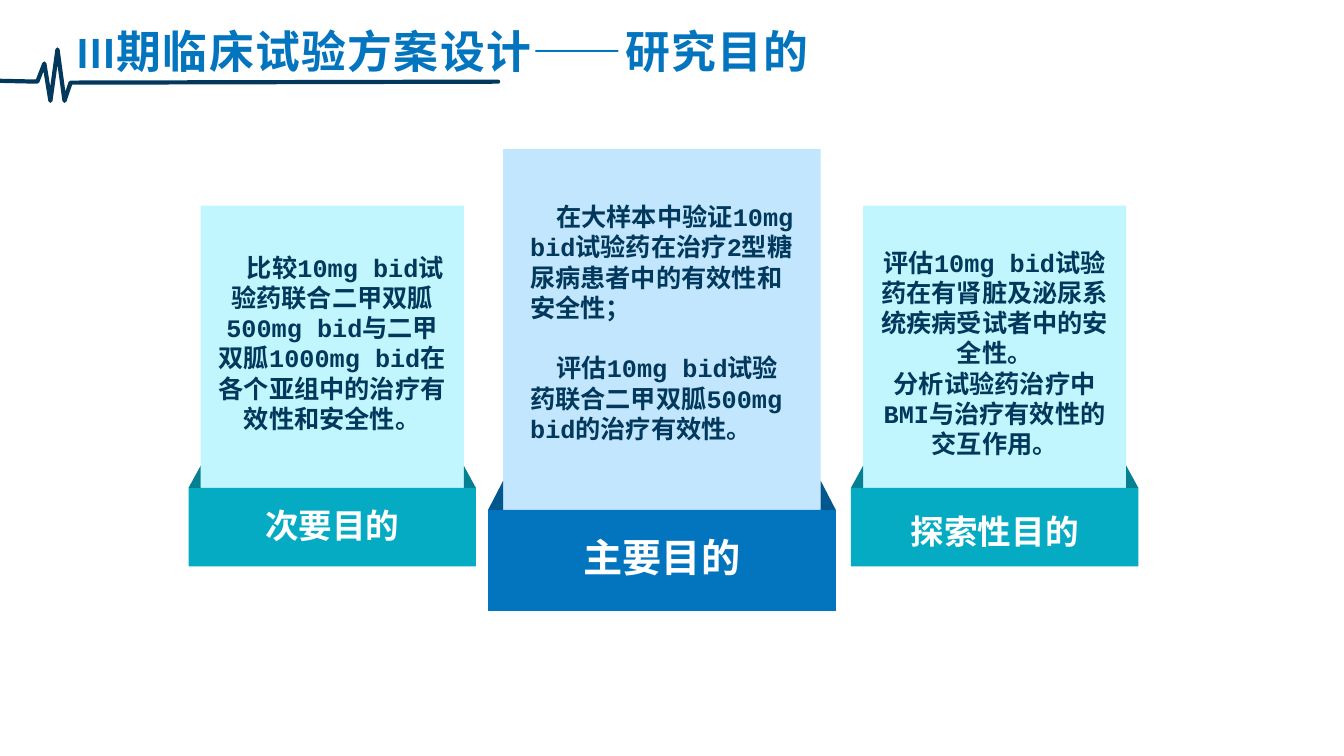
from lxml import etree
from pptx import Presentation
from pptx.dml.color import RGBColor
from pptx.enum.shapes import MSO_SHAPE
from pptx.enum.text import MSO_ANCHOR, PP_ALIGN
from pptx.oxml.ns import qn
from pptx.util import Inches, Pt

RECTANGLE, TRIANGLE = MSO_SHAPE.RECTANGLE, MSO_SHAPE.RIGHT_TRIANGLE
LEFT, CENTER = PP_ALIGN.LEFT, PP_ALIGN.CENTER
TOP = MSO_ANCHOR.TOP

COLORS = {
    "navy": "01385B", "blue": "0375BE", "dark_blue": "02588E", "pale_blue": "C1E6FE",
    "teal": "04ABC2", "dark_teal": "038092", "pale_teal": "C2F6FE", "white": "FFFFFF",
}
SIDE_STYLE = {
    "panel": "pale_teal", "band": "teal", "fold": "dark_teal",
    "panel_height": 3.16, "band_height": 0.78, "fold_width": 0.12, "fold_height": 0.22,
    "body_width": 2.46, "label_size": 24, "label_height": 0.5,
}
MAIN_STYLE = {
    "panel": "pale_blue", "band": "blue", "fold": "dark_blue",
    "panel_height": 3.99, "band_height": 1.0, "fold_width": 0.15, "fold_height": 0.29,
    "body_width": 2.81, "label_size": 28, "label_height": 0.57,
}
SIDE_TOP, SIDE_WIDTH, SIDE_HEIGHT = 2.04, 2.85, 3.58
CARDS = [
    {"box": (1.87, SIDE_TOP, SIDE_WIDTH, SIDE_HEIGHT), "style": SIDE_STYLE,
     "label": "次要目的", "label_drop": 0.12,
     "body": ["比较10mg bid试验药联合二甲双胍500mg bid与二甲双胍1000mg bid"
              "在各个亚组中的治疗有效性和安全性。"],
     "body_drop": 0.41, "body_height": 1.92, "align": CENTER, "indent": 0.26, "gap": 0},
    {"box": (4.84, 1.48, 3.45, 4.58), "style": MAIN_STYLE,
     "label": "主要目的", "label_drop": 0.18,
     "body": ["在大样本中验证10mg bid试验药在治疗2型糖尿病患者中的有效性和安全性；",
              "评估10mg bid试验药联合二甲双胍500mg bid的治疗有效性。"],
     "body_drop": 0.47, "body_height": 2.52, "align": LEFT, "indent": 0.26, "gap": 21.6},
    {"box": (8.44, SIDE_TOP, SIDE_WIDTH, SIDE_HEIGHT), "style": SIDE_STYLE,
     "label": "探索性目的", "label_drop": 0.18,
     "body": ["评估10mg bid试验药在有肾脏及泌尿系统疾病受试者中的安全性。",
              "分析试验药治疗中BMI与治疗有效性的交互作用。"],
     "body_drop": 0.36, "body_height": 2.22, "align": CENTER, "indent": 0, "gap": 0},
]
# Offsets from the left end and the top of the pulse line
PULSE = [(0, 0.31), (0.45, 0.32), (0.52, 0.14), (0.58, 0.51), (0.65, 0),
         (0.72, 0.51), (0.78, 0.33), (5.02, 0.32)]


def rgb(name):
    return RGBColor.from_string(COLORS[name])


def set_font(paragraph, name, size, color):
    font = paragraph.font
    font.name, font.size, font.bold = name, Pt(size), True
    font.color.rgb = rgb(color)


def add_block(slide, kind, box, color):
    shape = slide.shapes.add_shape(kind, *map(Inches, box))
    shape.shadow.inherit = False
    shape.fill.solid()
    shape.fill.fore_color.rgb = rgb(color)
    shape.line.fill.background()
    return shape


def add_pulse_line(slide, left, top):
    points = [(Inches(left + x), Inches(top + y)) for x, y in PULSE]
    builder = slide.shapes.build_freeform(*points[0])
    builder.add_line_segments(points[1:], close=False)
    pulse = builder.convert_to_shape()
    pulse.shadow.inherit = False
    pulse.fill.background()
    pulse.line.color.rgb = rgb("navy")
    pulse.line.width = Pt(3)
    line = pulse.element.spPr.find(qn("a:ln"))
    line.set("cap", "rnd")
    etree.SubElement(line, qn("a:round"))


def add_title(slide, text, box):
    title = slide.shapes.title
    title.left, title.top, title.width, title.height = map(Inches, box)
    frame = title.text_frame
    frame.text = text
    frame.word_wrap = True
    frame.vertical_anchor = TOP
    paragraph = frame.paragraphs[0]
    paragraph.alignment = LEFT
    paragraph.line_spacing = 0.9
    set_font(paragraph, "Calibri", 32, "blue")
    paragraph.runs[0]._r.get_or_add_rPr().set("spc", "100")


def add_body(slide, card, box):
    frame = slide.shapes.add_textbox(*map(Inches, box)).text_frame
    frame.word_wrap = True
    for index, text in enumerate(card["body"]):
        paragraph = frame.add_paragraph() if index else frame.paragraphs[0]
        paragraph.text = text
        paragraph.alignment = card["align"]
        if index and card["gap"]:
            paragraph.space_before = Pt(card["gap"])
        if card["indent"]:
            paragraph._p.get_or_add_pPr().set("indent", str(Inches(card["indent"])))
        set_font(paragraph, "Courier New", 18, "navy")


def add_label(slide, text, size, box):
    frame = slide.shapes.add_textbox(*map(Inches, box)).text_frame
    frame.word_wrap = True
    paragraph = frame.paragraphs[0]
    paragraph.text = text
    paragraph.alignment = CENTER
    set_font(paragraph, "Calibri", size, "white")


def add_card(slide, card):
    """Place a panel tucked into a folded band, with its body text and label."""
    left, top, width, height = card["box"]
    style = card["style"]
    fold_width, fold_height = style["fold_width"], style["fold_height"]
    band_top = top + height - style["band_height"]
    fold_top = band_top - fold_height

    add_block(slide, RECTANGLE,
              (left + fold_width, top, width - 2 * fold_width, style["panel_height"]),
              style["panel"])
    add_block(slide, RECTANGLE, (left, band_top, width, style["band_height"]), style["band"])
    left_fold, _ = [
        add_block(slide, TRIANGLE, (x, fold_top, fold_width, fold_height), style["fold"])
        for x in (left, left + width - fold_width)
    ]
    left_fold.element.spPr.find(qn("a:xfrm")).set("flipH", "1")

    body_width = style["body_width"]
    add_body(slide, card, (left + (width - body_width) / 2, top + card["body_drop"],
                           body_width, card["body_height"]))
    label_width = width * 0.75
    add_label(slide, card["label"], style["label_size"],
              (left + (width - label_width) / 2, band_top + card["label_drop"],
               label_width, style["label_height"]))


def main():
    presentation = Presentation()
    presentation.slide_width, presentation.slide_height = Inches(13.33), Inches(7.5)
    slide = presentation.slides.add_slide(presentation.slide_layouts[5])
    add_pulse_line(slide, -0.08, 0.49)
    add_title(slide, "III期临床试验方案设计——研究目的", (0.66, 0.25, 7.65, 0.87))
    for card in CARDS:
        add_card(slide, card)
    presentation.save("out.pptx")


if __name__ == "__main__":
    main()
